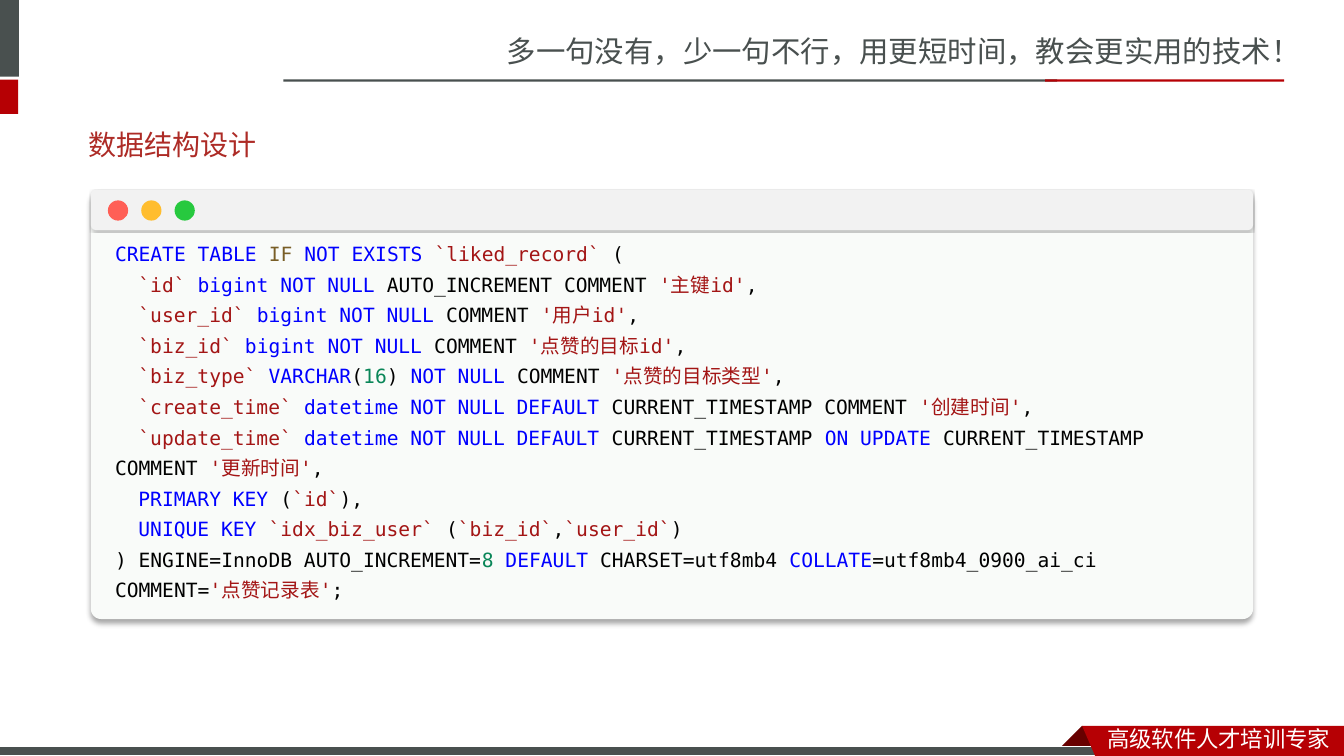
from lxml import etree
from pptx import Presentation
from pptx.dml.color import RGBColor
from pptx.enum.shapes import MSO_SHAPE
from pptx.enum.text import MSO_ANCHOR
from pptx.oxml.ns import qn
from pptx.util import Cm, Pt

RECT, ROUND, OVAL = MSO_SHAPE.RECTANGLE, MSO_SHAPE.ROUNDED_RECTANGLE, MSO_SHAPE.OVAL
MIDDLE, TOP = MSO_ANCHOR.MIDDLE, MSO_ANCHOR.TOP

GREY = RGBColor(0x49, 0x50, 0x4F)
RED = RGBColor(0xB6, 0x00, 0x04)
DARK_RED = RGBColor(0x68, 0x00, 0x00)
TITLE_RED = RGBColor(0xAD, 0x2B, 0x26)
WHITE = RGBColor(0xFF, 0xFF, 0xFF)
PANEL = RGBColor(0xF9, 0xFB, 0xF9)
BAR = RGBColor(0xF2, 0xF2, 0xF2)
LIGHTS = [RGBColor(0xFF, 0x5F, 0x56), RGBColor(0xFF, 0xBD, 0x2E), RGBColor(0x27, 0xC9, 0x3F)]

CJK, MONO, HEADING = "Noto Sans CJK SC", "DejaVu Sans Mono", "Calibri"

# Syntax colours, keyed by token kind
SYNTAX = {
    "key": RGBColor(0x00, 0x00, 0xFF),
    "flow": RGBColor(0x79, 0x5E, 0x26),
    "str": RGBColor(0xA3, 0x15, 0x15),
    "num": RGBColor(0x09, 0x86, 0x58),
    "txt": RGBColor(0x00, 0x00, 0x00),
}


def column(name, kind, comment, *middle):
    """Tokens of one column definition with its closing comment."""
    middle = middle or (("key", kind), ("txt", " COMMENT "))
    return [("str", f"`{name}` "), *middle, ("str", f"'{comment}'"), ("txt", ",")]


ID_TYPE = "bigint NOT NULL"
TIME_TYPE = ("key", "datetime NOT NULL DEFAULT")

# Lines of the statement: (indented, tokens)
SQL = [
    (False, [("key", "CREATE TABLE "), ("flow", "IF "), ("key", "NOT EXISTS "),
             ("str", "`liked_record`"), ("txt", " (")]),
    (True, column("id", "", "主键id", ("key", ID_TYPE), ("txt", " AUTO_INCREMENT COMMENT "))),
    (True, column("user_id", ID_TYPE, "用户id")),
    (True, column("biz_id", ID_TYPE, "点赞的目标id")),
    (True, column("biz_type", "", "点赞的目标类型", ("key", "VARCHAR"), ("txt", "("),
                  ("num", "16"), ("txt", ") "), ("key", "NOT NULL"), ("txt", " COMMENT "))),
    (True, column("create_time", "", "创建时间", TIME_TYPE,
                  ("txt", " CURRENT_TIMESTAMP COMMENT "))),
    (True, column("update_time", "", "更新时间", TIME_TYPE, ("txt", " CURRENT_TIMESTAMP "),
                  ("key", "ON UPDATE"), ("txt", " CURRENT_TIMESTAMP COMMENT "))),
    (True, [("key", "PRIMARY KEY"), ("txt", " ("), ("str", "`id`"), ("txt", "),")]),
    (True, [("key", "UNIQUE KEY "), ("str", "`idx_biz_user`"), ("txt", " ("),
            ("str", "`biz_id`"), ("txt", ","), ("str", "`user_id`"), ("txt", ")")]),
    (False, [("txt", ") ENGINE=InnoDB AUTO_INCREMENT="), ("num", "8 "), ("key", "DEFAULT"),
             ("txt", " CHARSET=utf8mb4 "), ("key", "COLLATE"),
             ("txt", "=utf8mb4_0900_ai_ci COMMENT="), ("str", "'点赞记录表'"), ("txt", ";")]),
]


def paint(sp, fill):
    sp.shadow.inherit = False
    sp.fill.solid()
    sp.fill.fore_color.rgb = fill
    sp.line.fill.background()
    return sp


def add_block(s, kind, x, y, w, h, fill):
    return paint(s.shapes.add_shape(kind, Cm(x), Cm(y), Cm(w), Cm(h)), fill)


def add_outline(s, points, fill):
    points = [(Cm(x), Cm(y)) for x, y in points]
    fb = s.shapes.build_freeform(*points[0])
    fb.add_line_segments(points[1:], close=True)
    return paint(fb.convert_to_shape(), fill)


def add_shadow(sp, alpha, blur, dist):
    """Soft black shadow straight below the shape; blur and dist in points."""
    effects = sp._element.spPr.find(qn("a:effectLst"))
    shadow = etree.SubElement(effects, qn("a:outerShdw"), blurRad=str(Pt(blur)),
                              dist=str(Pt(dist)), dir="5400000", algn="t", rotWithShape="0")
    color = etree.SubElement(shadow, qn("a:srgbClr"), val="000000")
    etree.SubElement(color, qn("a:alpha"), val=str(alpha * 1000))


def style_run(r, size, font, color):
    r.font.size = Pt(size)
    r.font.name = font
    r.font.color.rgb = color
    etree.SubElement(r._r.get_or_add_rPr(), qn("a:ea"), typeface=CJK)


def add_frame(s, x, y, w, h, anchor=TOP):
    tf = s.shapes.add_textbox(Cm(x), Cm(y), Cm(w), Cm(h)).text_frame
    tf.word_wrap = True
    tf.vertical_anchor = anchor
    return tf


def add_label(s, x, y, w, h, text, size, font, color, anchor=TOP):
    tf = add_frame(s, x, y, w, h, anchor)
    tf.text = text
    p = tf.paragraphs[0]
    style_run(p.runs[0], size, font, color)
    return p


def add_header(s, x, y, w):
    # Slogan with its two-colour rule
    add_label(s, x + 12.52, y + 0.71, w - 12.52, 1.19,
              "多一句没有，少一句不行，用更短时间，教会更实用的技术！", 21, CJK, GREY)
    # Edge tabs
    add_block(s, RECT, x, y, 0.48, 1.93, GREY)
    add_block(s, RECT, x, y + 2.01, 0.46, 0.86, RED)
    add_block(s, RECT, x + 7.14, y + 2, 19.5, 0.06, GREY)
    add_block(s, RECT, x + 26.34, y + 2, 6.02, 0.06, RED)


def add_footer(s, x, y, w, h):
    # Folded corner, base strip, ribbon
    fold, bottom = x + w - 6.6, y + h
    add_outline(s, [(fold, y), (fold + 0.56, y + 0.56), (fold + 0.53, y + 0.58),
                    (fold - 0.53, y + 0.58), (fold - 0.56, y + 0.56)], DARK_RED)
    strip = add_block(s, RECT, x, y + 0.53, 27.91, h - 0.53, GREY)
    strip.line.color.rgb = WHITE
    strip.line.width = Pt(0.75)
    add_outline(s, [(fold, y), (x + w, y), (x + w, bottom), (fold + 0.33, bottom)], RED)
    add_label(s, fold + 0.38, y - 0.13, 6.22, 0.94, "高级软件人才培训专家", 16, CJK, WHITE)


def add_title(s, x, y, w, h):
    p = add_label(s, x, y, w, h, "数据结构设计", 20, HEADING, TITLE_RED, MIDDLE)
    p.line_spacing = 2.0
    p.space_before = Pt(4)


def add_code_window(s, x, y, w, h):
    bar_h, dot, pitch = 1.02, 0.51, 0.84
    panel = add_block(s, ROUND, x, y, w, h, PANEL)
    panel.adjustments[0] = 0.024
    add_shadow(panel, 34, 4, 3)

    # Statement
    tf = add_frame(s, x, y + bar_h, w - 1.09, h - bar_h - 0.28)
    tf.margin_left = tf.margin_right = Cm(0.61)
    for i, (indented, tokens) in enumerate(SQL):
        p = tf.paragraphs[0] if i == 0 else tf.add_paragraph()
        p.line_spacing = 1.3
        if indented:
            pPr = p._p.get_or_add_pPr()
            pPr.set("marL", "0")
            pPr.set("indent", str(Cm(0.59)))
        for kind, text in tokens:
            r = p.add_run()
            r.text = text
            style_run(r, 14, MONO, SYNTAX[kind])

    # Title bar with window buttons
    bar = add_block(s, ROUND, x, y, w, bar_h, BAR)
    bar.adjustments[0] = 0.128
    add_shadow(bar, 20, 1, 1)
    for i, color in enumerate(LIGHTS):
        add_block(s, OVAL, x + 0.43 + i * pitch, y + 0.27, dot, dot, color)


prs = Presentation()
prs.slide_width, prs.slide_height = Cm(33.87), Cm(19.05)
s = prs.slides.add_slide(prs.slide_layouts[6])
add_header(s, 0, 0, 33.87)
add_footer(s, 0, 18.29, 33.87, 0.76)
add_title(s, 1.98, 2.62, 20.73, 1.19)
add_code_window(s, 2.29, 4.78, 29.29, 10.82)
prs.save("out.pptx")
